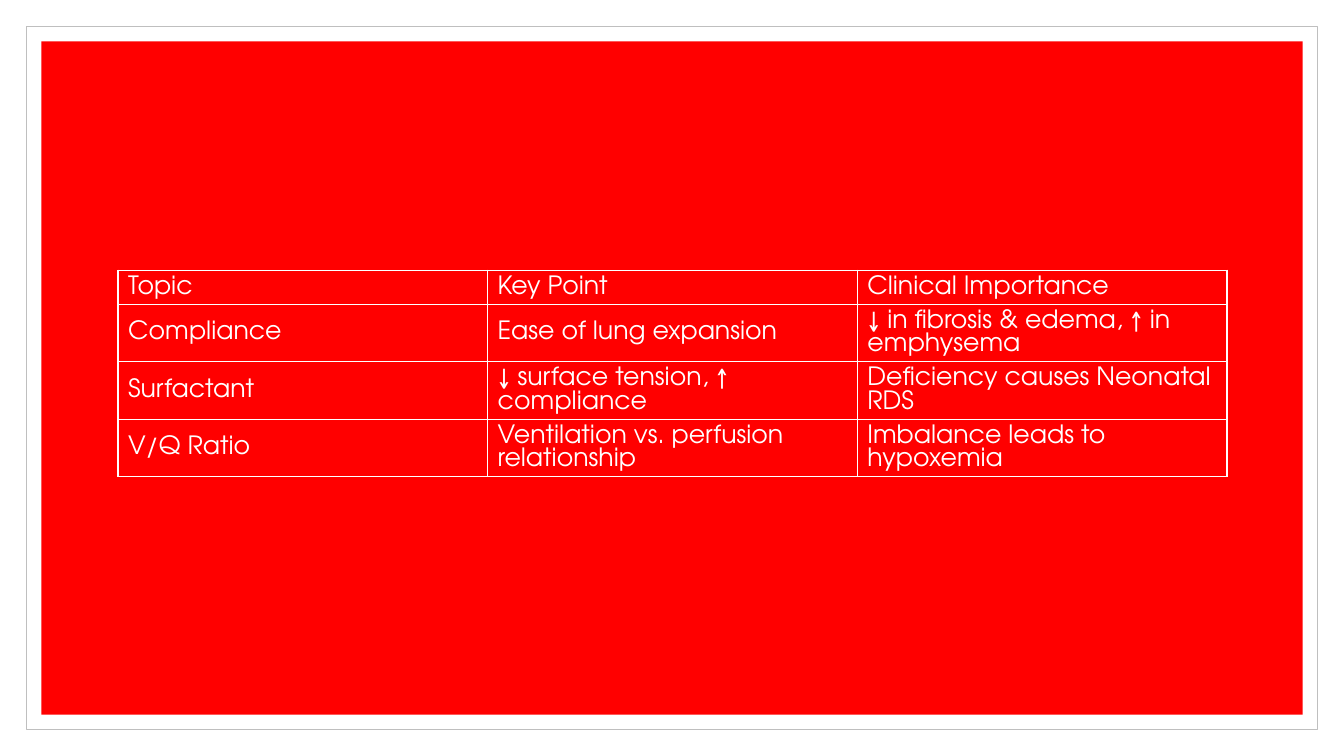
from lxml import etree
from pptx import Presentation
from pptx.dml.color import RGBColor
from pptx.enum import shapes, text
from pptx.oxml import ns
from pptx.util import Inches, Pt

TOPICS = [
    ("Topic", "Key Point", "Clinical Importance"),
    ("Compliance", "Ease of lung expansion", "↓ in fibrosis & edema, ↑ in emphysema"),
    ("Surfactant", "↓ surface tension, ↑ compliance", "Deficiency causes Neonatal RDS"),
    ("V/Q Ratio", "Ventilation vs. perfusion relationship", "Imbalance leads to hypoxemia"),
]
PANELS = [(0.26, "FFFFFF", "BFBFBF"), (0.41, "FF0000", None)]
WIDTH, HEIGHT = 13.33, 7.5
LEFT, TOP, TABLE_WIDTH = 1.17, 2.68, 11
ROW_HEIGHTS = [0.34, 0.57, 0.57, 0.57]
FONT = {"name": "TeX Gyre Adventor", "size": Pt(18), "bold": False}
WHITE = "FFFFFF"


def paint(target, color):
    target.solid()
    target.fore_color.rgb = RGBColor.from_string(color)


def add_panel(slide, inset, fill, line):
    panel = slide.shapes.add_shape(
        shapes.MSO_SHAPE.RECTANGLE, Inches(inset), Inches(inset),
        Inches(WIDTH - 2 * inset), Inches(HEIGHT - 2 * inset))
    panel.shadow.inherit = False
    paint(panel.fill, fill)
    if line:
        paint(panel.line.fill, line)
        panel.line.width = Pt(0.5)
    else:
        panel.line.fill.background()


def add_borders(cell):
    properties = cell._tc.get_or_add_tcPr()
    for position, side in enumerate(("lnL", "lnR", "lnT", "lnB")):
        border = etree.Element(ns.qn(f"a:{side}"), w=str(Pt(1)))
        fill = etree.SubElement(border, ns.qn("a:solidFill"))
        etree.SubElement(fill, ns.qn("a:srgbClr"), val=WHITE)
        properties.insert(position, border)


def write_cell(cell, wording):
    cell.text = wording
    cell.vertical_anchor = text.MSO_ANCHOR.MIDDLE
    cell.fill.background()
    add_borders(cell)
    paragraph = cell.text_frame.paragraphs[0]
    paragraph.line_spacing = Pt(16.7)
    font = paragraph.runs[0].font
    for attribute, value in FONT.items():
        setattr(font, attribute, value)
    paint(font.fill, WHITE)


def main():
    deck = Presentation()
    deck.slide_width, deck.slide_height = Inches(WIDTH), Inches(HEIGHT)
    slide = deck.slides.add_slide(deck.slide_layouts[6])
    for panel in PANELS:
        add_panel(slide, *panel)
    summary = slide.shapes.add_table(
        len(TOPICS), len(TOPICS[0]), Inches(LEFT), Inches(TOP),
        Inches(TABLE_WIDTH), Inches(sum(ROW_HEIGHTS))).table
    summary.first_row = summary.horz_banding = False
    for row, height, wordings in zip(summary.rows, ROW_HEIGHTS, TOPICS):
        row.height = Inches(height)
        for cell, wording in zip(row.cells, wordings):
            write_cell(cell, wording)
    deck.save("out.pptx")


if __name__ == "__main__":
    main()
